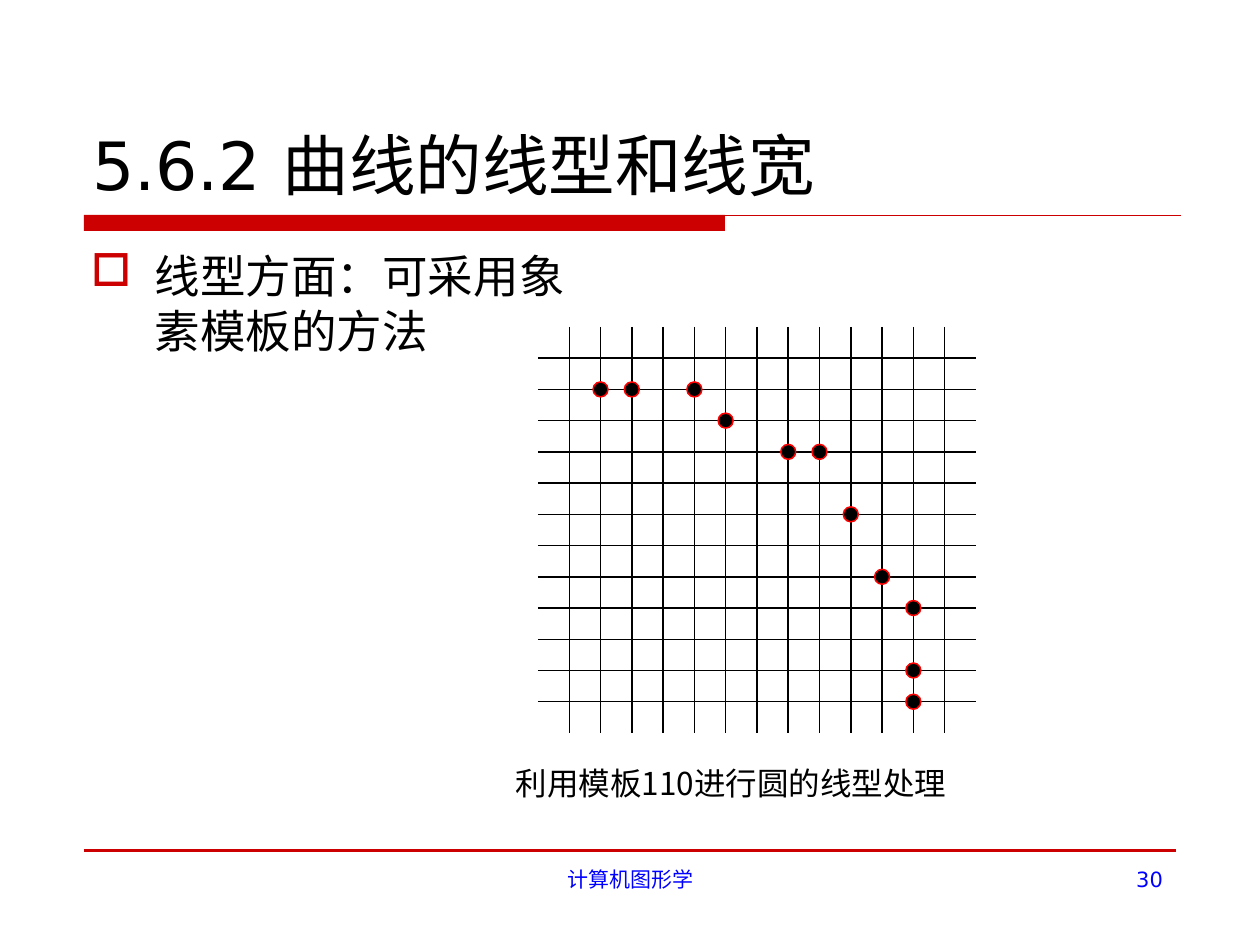
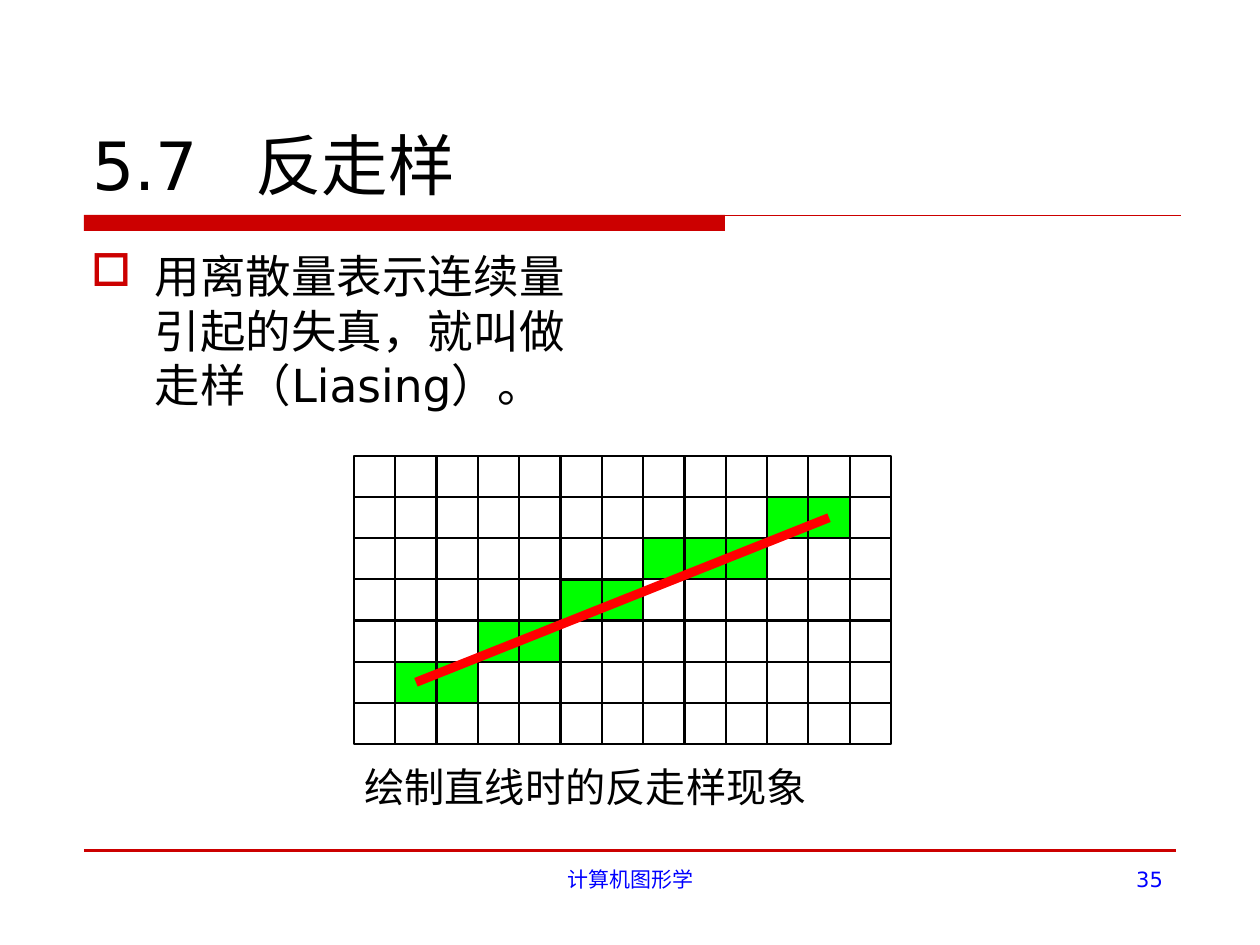
from dataclasses import dataclass

from lxml import etree
from pptx import Presentation, util as u
from pptx.dml.color import RGBColor
from pptx.enum import shapes, text
from pptx.oxml import ns

# Shared scale, colours and fonts
EMU_PER_PX = 914400 / 126
RED, BLUE, BLACK = "CC0000", "0000FF", "000000"
BRIGHT_RED, GREEN = "FF0000", "00FF00"
MAIN_FONT, CAPTION_FONT = "DejaVu Sans", "Noto Sans CJK SC"
FOOTER = "计算机图形学"


@dataclass(frozen=True)
class Box:
    left: int
    top: int
    width: int
    height: int


@dataclass(frozen=True)
class Grid:
    box: Box
    columns: int
    rows: int

    def point(self, column: float, row: float) -> tuple[float, float]:
        """Position of a grid crossing; halves give cell centres."""
        return (self.box.left + self.box.width * column / self.columns,
                self.box.top + self.box.height * row / self.rows)


TITLE_BOX = Box(79, 42, 1103, 168)
BODY_BOX = Box(78, 242, 541, 588)
FOOTER_BOX = Box(431, 861, 399, 66)
NUMBER_BOX = Box(903, 861, 273, 66)
BULLET_INDENT = 64

# Slide 1: grid crossings that the 110 template switches on
CIRCLE_GRID = Grid(Box(538, 327, 438, 406), 14, 13)
CIRCLE_PIXELS = [(2, 2), (3, 2), (5, 2), (6, 3), (8, 4), (9, 4),
                 (10, 6), (11, 8), (12, 9), (12, 11), (12, 12)]
DOT_SIZE = 15

# Slide 2: columns filled in each row of cells
LINE_GRID = Grid(Box(354, 456, 537, 288), 13, 7)
FILLED_COLUMNS = {5: (1, 2), 4: (3, 4), 3: (5, 6), 2: (7, 8, 9), 1: (10, 11)}


def px(length: float) -> u.Emu:
    return u.Emu(round(length * EMU_PER_PX))


def color(value: str) -> RGBColor:
    return RGBColor.from_string(value)


def place(shape, box: Box) -> None:
    shape.left, shape.top = px(box.left), px(box.top)
    shape.width, shape.height = px(box.width), px(box.height)


def write(shape, content: str, *, size: int, font: str = MAIN_FONT,
          ink: str = BLACK, align=text.PP_ALIGN.LEFT,
          anchor=text.MSO_ANCHOR.TOP, wrap: bool = True, inset: bool = True,
          bullet: str = "", tab: int = 0) -> None:
    frame = shape.text_frame
    frame.word_wrap = wrap
    frame.auto_size = text.MSO_AUTO_SIZE.NONE
    frame.vertical_anchor = anchor
    frame.margin_left = frame.margin_right = px(13 if inset else 0)
    frame.margin_top = frame.margin_bottom = px(6 if inset else 0)
    paragraph = frame.paragraphs[0]
    paragraph.alignment = align
    properties = paragraph._p.get_or_add_pPr()
    if bullet:
        properties.set("marL", str(px(BULLET_INDENT)))
        properties.set("indent", str(-px(BULLET_INDENT)))
        bullet_color = etree.SubElement(properties, ns.qn("a:buClr"))
        etree.SubElement(bullet_color, ns.qn("a:srgbClr"), val=RED)
        etree.SubElement(properties, ns.qn("a:buChar"), char=bullet)
    if tab:
        stops = etree.SubElement(properties, ns.qn("a:tabLst"))
        etree.SubElement(stops, ns.qn("a:tab"), pos=str(px(tab)), algn="l")
    run = paragraph.add_run()
    run.text = content
    run.font.size = u.Pt(size)
    run.font.name = font
    run.font.color.rgb = color(ink)
    latin = run._r.rPr.find(ns.qn("a:latin"))
    latin.addnext(etree.Element(ns.qn("a:ea"), typeface=font))


def add_text(slide, box: Box, content: str, **style) -> None:
    shape = slide.shapes.add_textbox(0, 0, 0, 0)
    place(shape, box)
    write(shape, content, **style)


def add_line(slide, start: tuple[float, float], end: tuple[float, float],
             ink: str, weight: float) -> None:
    line = slide.shapes.add_connector(
        shapes.MSO_CONNECTOR.STRAIGHT, *map(px, (*start, *end)))
    line.line.color.rgb = color(ink)
    line.line.width = u.Pt(weight)
    etree.SubElement(line._element.spPr, ns.qn("a:effectLst"))


def add_figure(slide, kind, left: float, top: float, width: float,
               height: float, *, fill: str = "", ink: str = "",
               weight: float = 1) -> None:
    shape = slide.shapes.add_shape(
        kind, *map(px, (left, top, width, height)))
    shape.shadow.inherit = False
    if fill:
        shape.fill.solid()
        shape.fill.fore_color.rgb = color(fill)
    else:
        shape.fill.background()
    if ink:
        shape.line.color.rgb = color(ink)
        shape.line.width = u.Pt(weight)
    else:
        shape.line.fill.background()


def add_grid_lines(slide, grid: Grid, weight: float) -> None:
    for row in range(1, grid.rows):
        add_line(slide, grid.point(0, row), grid.point(grid.columns, row),
                 BLACK, weight)
    for column in range(1, grid.columns):
        add_line(slide, grid.point(column, 0), grid.point(column, grid.rows),
                 BLACK, weight)


def add_caption(slide, box: Box, content: str, size: int) -> None:
    add_text(slide, box, content, size=size, font=CAPTION_FONT,
             wrap=False, inset=False)


def add_base_slide(presentation, title: str, body: str, number: int,
                   title_tab: int = 0):
    """Slide with the shared bands, footer, title and bullet."""
    slide = presentation.slides.add_slide(presentation.slide_layouts[5])
    add_figure(slide, shapes.MSO_SHAPE.RECTANGLE, 84, 215, 641, 16, fill=RED)
    add_line(slide, (84, 215.5), (1181, 215.5), RED, 0.75)
    add_line(slide, (84, 850.5), (1176, 850.5), RED, 2.25)
    add_text(slide, FOOTER_BOX, FOOTER, size=12, ink=BLUE,
             align=text.PP_ALIGN.CENTER)
    add_text(slide, NUMBER_BOX, str(number), size=12, ink=BLUE,
             align=text.PP_ALIGN.RIGHT)
    place(slide.shapes.title, TITLE_BOX)
    write(slide.shapes.title, title, size=38, tab=title_tab,
          anchor=text.MSO_ANCHOR.BOTTOM)
    add_text(slide, BODY_BOX, body, size=26, bullet="□")
    return slide


def build_line_style_slide(presentation) -> None:
    slide = add_base_slide(presentation, "5.6.2 曲线的线型和线宽",
                           "线型方面：可采用象素模板的方法", 30)
    add_grid_lines(slide, CIRCLE_GRID, 0.88)
    for column, row in CIRCLE_PIXELS:
        x, y = CIRCLE_GRID.point(column, row)
        add_figure(slide, shapes.MSO_SHAPE.OVAL, x - DOT_SIZE / 2,
                   y - DOT_SIZE / 2, DOT_SIZE, DOT_SIZE,
                   fill=BLACK, ink=BRIGHT_RED, weight=0.88)
    add_caption(slide, Box(516, 764, 454, 38),
                "利用模板110进行圆的线型处理", 18)


def build_aliasing_slide(presentation) -> None:
    slide = add_base_slide(
        presentation, "5.7\t反走样",
        "用离散量表示连续量引起的失真，就叫做走样（Liasing）。", 35,
        title_tab=163)
    frame = LINE_GRID.box
    add_figure(slide, shapes.MSO_SHAPE.RECTANGLE, frame.left, frame.top,
               frame.width, frame.height, ink=BLACK, weight=1.25)
    add_grid_lines(slide, LINE_GRID, 1.25)
    # Filled cells and the ideal line through their ends
    for row, columns in FILLED_COLUMNS.items():
        for column in columns:
            add_figure(slide, shapes.MSO_SHAPE.RECTANGLE,
                       *LINE_GRID.point(column, row),
                       frame.width / LINE_GRID.columns,
                       frame.height / LINE_GRID.rows,
                       fill=GREEN, ink=BLACK, weight=1.25)
    add_line(slide, LINE_GRID.point(1.5, 5.5), LINE_GRID.point(11.5, 1.5),
             BRIGHT_RED, 5.25)
    add_caption(slide, Box(364, 762, 448, 48), "绘制直线时的反走样现象", 23)


def main() -> None:
    presentation = Presentation()
    presentation.slide_width, presentation.slide_height = px(1260), px(945)
    build_line_style_slide(presentation)
    build_aliasing_slide(presentation)
    presentation.save("out.pptx")


if __name__ == "__main__":
    main()
